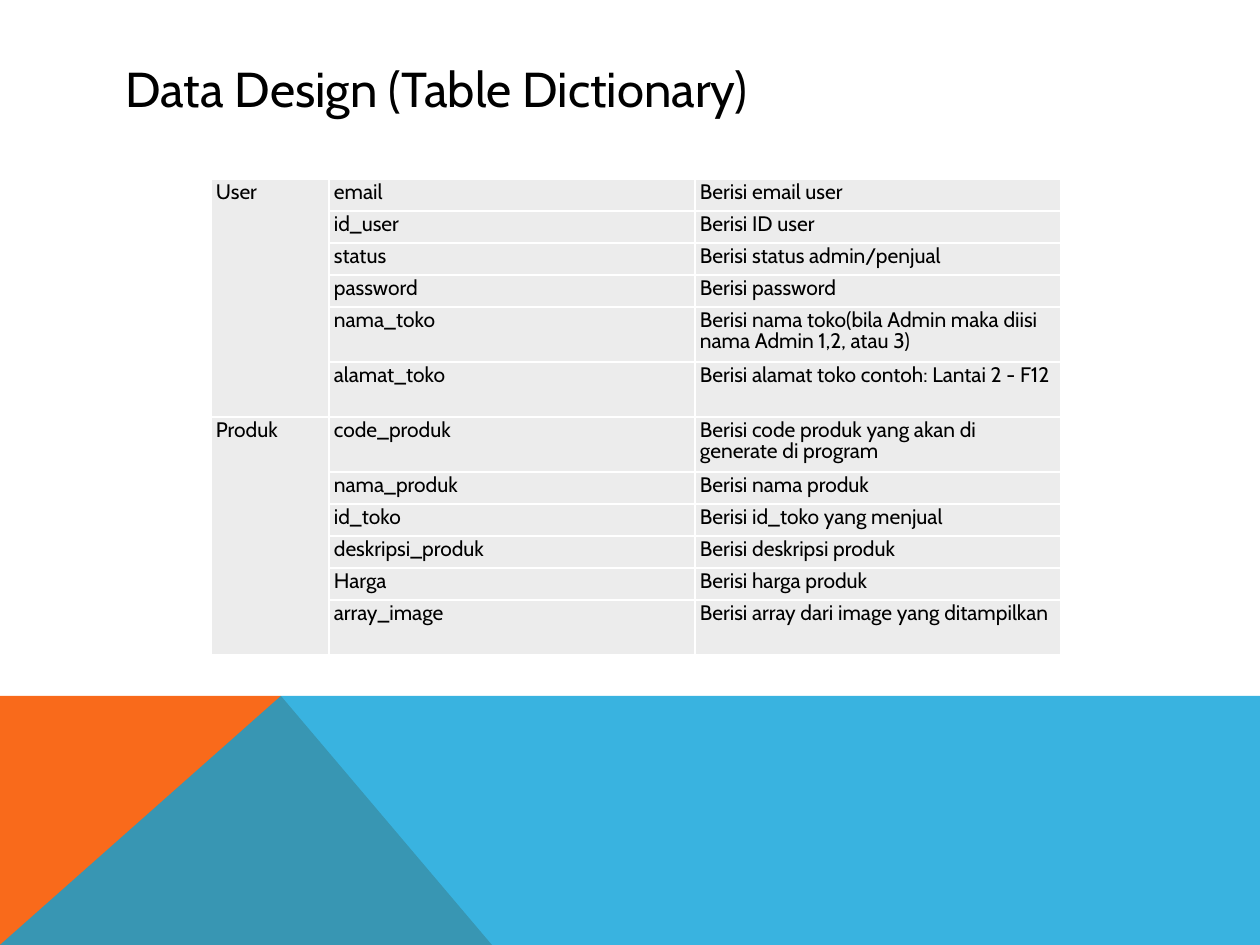
from dataclasses import dataclass

from lxml.etree import SubElement
from pptx import Presentation
from pptx.dml.color import RGBColor as Color
from pptx.enum.text import MSO_ANCHOR as Anchor, PP_ALIGN as Align
from pptx.oxml.ns import qn
from pptx.util import Emu, Pt

EMU_PER_PX = 914400 / 126


@dataclass(frozen=True)
class Theme:
    font: str = "Cabin"
    text: str = "000000"
    orange: str = "F96A1B"
    blue: str = "08A1D9"
    cell: str = "ECECEC"
    border: str = "FFFFFF"
    title_size: int = 28
    table_size: int = 12


theme = Theme()


def px(length):
    return Emu(round(length * EMU_PER_PX))


def write(frame, text, size):
    """Put one left-aligned line of text in the frame and return its paragraph."""
    para = frame.paragraphs[0]
    para.alignment = Align.LEFT
    span = para.add_run()
    span.text = text
    formats = {"name": theme.font, "size": Pt(size), "bold": False}
    for name, value in formats.items():
        setattr(span.font, name, value)
    span.font.color.rgb = Color.from_string(theme.text)
    return para


deck = Presentation()
deck.slide_width, deck.slide_height = px(1260), px(945)
page = deck.slides.add_slide(deck.slide_layouts[5])

# Footer bands: the translucent blue one darkens the orange where they overlap
bands = [
    ([(0, 945), (0, 696), (281, 696), (492, 945)], theme.orange, 100),
    ([(0, 945), (281, 696), (1260, 696), (1260, 945)], theme.blue, 80),
]
for points, color, opacity in bands:
    builder = page.shapes.build_freeform(*points[0], scale=EMU_PER_PX)
    builder.add_line_segments(points[1:], close=True)
    band = builder.convert_to_shape()
    band.shadow.inherit = False
    band.line.fill.background()
    band.fill.solid()
    band.fill.fore_color.rgb = Color.from_string(color)
    if opacity < 100:
        fill_color = band.fill._xPr.find(qn("a:solidFill"))[0]
        SubElement(fill_color, qn("a:alpha"), val=str(opacity * 1000))

# Title
title = page.shapes.title
title.left, title.top, title.width, title.height = px(113), px(50), px(1036), px(76)
title.text_frame.vertical_anchor = Anchor.MIDDLE
write(title.text_frame, "Data Design (Table Dictionary)", theme.title_size)

# Table: entity -> (field, description, lines of height)
entities = {
    "User": [
        ("email", "Berisi email user", 1),
        ("id_user", "Berisi ID user", 1),
        ("status", "Berisi status admin/penjual", 1),
        ("password", "Berisi password", 1),
        ("nama_toko", "Berisi nama toko(bila Admin maka diisi nama Admin 1,2, atau 3)", 2),
        ("alamat_toko", "Berisi alamat toko contoh: Lantai 2 - F12", 2),
    ],
    "Produk": [
        ("code_produk", "Berisi code produk yang akan di generate di program", 2),
        ("nama_produk", "Berisi nama produk", 1),
        ("id_toko", "Berisi id_toko yang menjual", 1),
        ("deskripsi_produk", "Berisi deskripsi produk", 1),
        ("Harga", "Berisi harga produk", 1),
        ("array_image", "Berisi array dari image yang ditampilkan", 2),
    ],
}
row_heights = {1: 32, 2: 55}
column_widths = [118, 366, 366]
heights = [row_heights[lines] for fields in entities.values() for _, _, lines in fields]

table = page.shapes.add_table(
    len(heights), len(column_widths),
    px(211), px(179), px(sum(column_widths)), px(sum(heights)),
).table
table.first_row = table.horz_banding = False
for column, width in zip(table.columns, column_widths):
    column.width = px(width)
for row, height in zip(table.rows, heights):
    row.height = px(height)

margins = {f"margin_{side}": px(5) for side in ("left", "right", "top", "bottom")}
for cell in table.iter_cells():
    for name, value in margins.items():
        setattr(cell, name, value)
    properties = cell._tc.get_or_add_tcPr()
    for edge in ("lnL", "lnR", "lnT", "lnB"):
        line = SubElement(properties, qn(f"a:{edge}"), w=str(Pt(1)))
        solid = SubElement(line, qn("a:solidFill"))
        SubElement(solid, qn("a:srgbClr"), val=theme.border)
    cell.fill.solid()
    cell.fill.fore_color.rgb = Color.from_string(theme.cell)

first = 0
for entity, fields in entities.items():
    last = first + len(fields) - 1
    table.cell(first, 0).merge(table.cell(last, 0))
    entries = [(first, 0, entity)]
    for index, (field, description, _) in enumerate(fields, first):
        entries += [(index, 1, field), (index, 2, description)]
    for row_index, column_index, text in entries:
        frame = table.cell(row_index, column_index).text_frame
        write(frame, text, theme.table_size).line_spacing = Pt(12)
    first = last + 1

deck.save("out.pptx")
